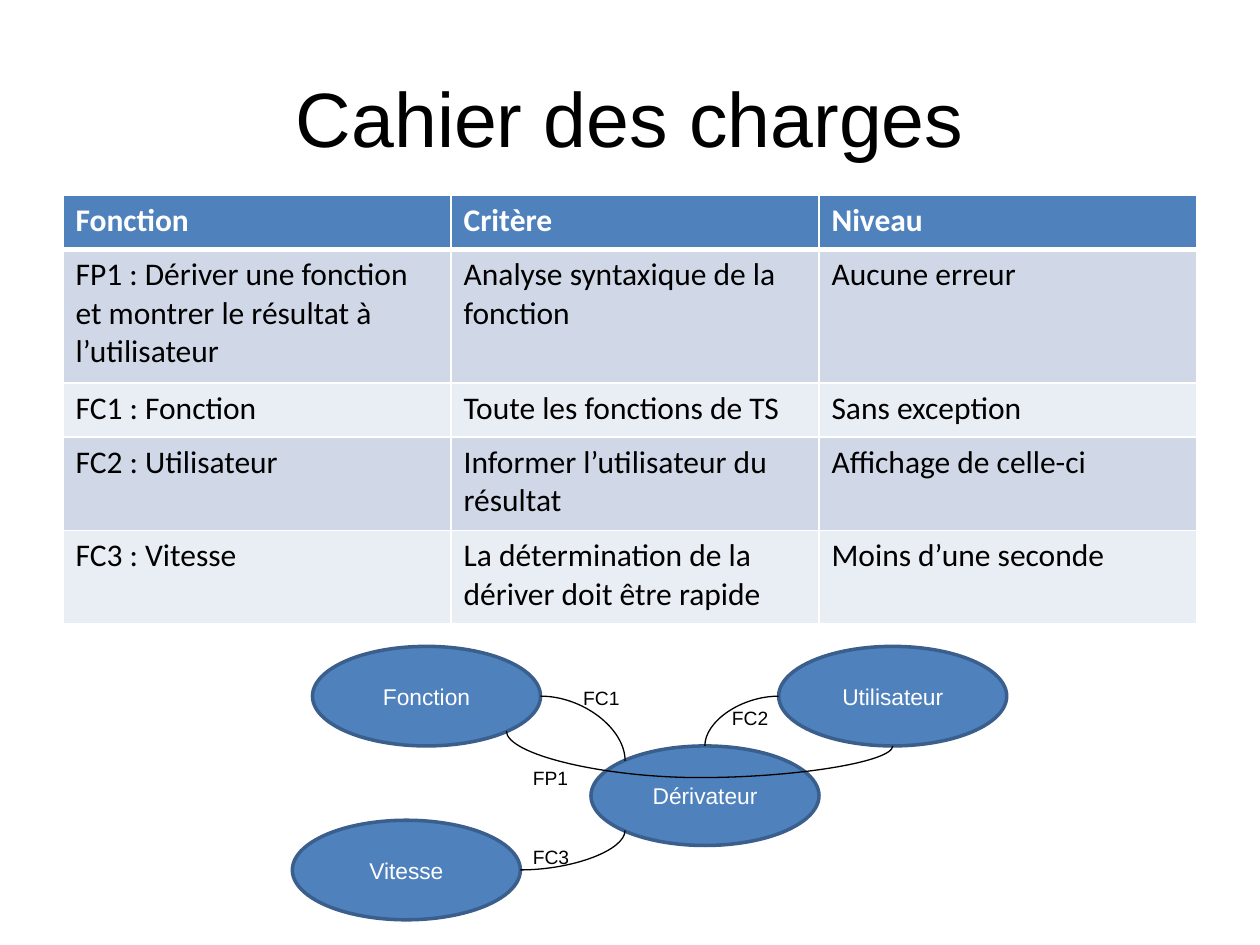
from lxml import etree
from pptx import Presentation, util as u
from pptx.dml.color import RGBColor
from pptx.enum import shapes, text
from pptx.oxml.ns import qn

COLS, ROWS = 100, 75  # slide grid; one step is a tenth of an inch
STEP = u.Inches(0.1)
INK = {"black": "000000", "white": "FFFFFF", "blue": "4F81BD", "edge": "3A5F8C",
       "odd": "D0D8E8", "even": "E9EDF4"}

WIDTHS = [30.8, 29.2, 30]
HEIGHTS = [4.3, 10.6, 4.3, 7.4, 7.4]
CELLS = [
    ["Fonction", "Critère", "Niveau"],
    ["FP1 : Dériver une fonction et montrer le résultat à l’utilisateur",
     "Analyse syntaxique de la fonction", "Aucune erreur"],
    ["FC1 : Fonction", "Toute les fonctions de TS", "Sans exception"],
    ["FC2 : Utilisateur", "Informer l’utilisateur du résultat", "Affichage de celle-ci"],
    ["FC3 : Vitesse", "La détermination de la dériver doit être rapide", "Moins d’une seconde"],
]

# Offsets inside the diagram box, in grid steps
OVAL = (18.1, 7.9)
NODES = {"Dérivateur": (23.7, 7.9), "Fonction": (1.6, 0),
         "Utilisateur": (38.6, 0), "Vitesse": (0, 13.8)}
TAGS = {"FP1": (18.1, 9), "FC1": (22.1, 2.7), "FC2": (33.9, 4.3), "FC3": (18.1, 15.3)}
# Points on an oval, as shares of its width and height
SITES = {"top": (0.5, 0), "left": (0, 0.5), "right": (1, 0.5), "bottom": (0.5, 1),
         "top left": (0.15, 0.15), "low left": (0.15, 0.85), "low right": (0.85, 0.85)}
BENDS = [("Vitesse", "right", "low left"), ("Fonction", "right", "top left"),
         ("Utilisateur", "left", "top")]


def grid(*steps):
    return [round(n * STEP) for n in steps]


def color(name):
    return RGBColor.from_string(INK[name])


def style(frame, font, size, ink, bold=False):
    for run in frame.paragraphs[0].runs:
        run.font.name, run.font.size, run.font.bold = font, u.Pt(size), bold
        run.font.color.rgb = color(ink)


def center(frame):
    frame.vertical_anchor = text.MSO_ANCHOR.MIDDLE
    frame.paragraphs[0].alignment = text.PP_ALIGN.CENTER


def title(slide, box):
    frame = slide.shapes.add_textbox(*grid(*box)).text_frame
    frame.word_wrap = True
    frame.text = "Cahier des charges"
    center(frame)
    style(frame, "Arial", 44, "black")


def border(cell, top, bottom):
    """Draw white cell borders; the side borders are one point wide."""
    props = cell._tc.get_or_add_tcPr()
    sides = {"lnL": 1, "lnR": 1, "lnT": top, "lnB": bottom}
    for spot, (side, width) in enumerate(sides.items()):
        line = etree.Element(qn("a:" + side), w=str(u.Pt(width)))
        fill = etree.SubElement(line, qn("a:solidFill"))
        etree.SubElement(fill, qn("a:srgbClr"), val=INK["white"])
        props.insert(spot, line)


def table(slide, box):
    grille = slide.shapes.add_table(len(CELLS), len(WIDTHS), *grid(*box)).table
    for col, width in zip(grille.columns, grid(*WIDTHS)):
        col.width = width
    for row, height in zip(grille.rows, grid(*HEIGHTS)):
        row.height = height
    for r, words in enumerate(CELLS):
        head = r == 0
        shade = "blue" if head else "odd" if r % 2 else "even"
        for c, word in enumerate(words):
            cell = grille.cell(r, c)
            cell.text = word
            style(cell.text_frame, "Calibri", 18, "white" if head else "black", head)
            cell.fill.solid()
            cell.fill.fore_color.rgb = color(shade)
            border(cell, 3 if r == 1 else 1, 3 if head else 1)


def oval(slide, box, name):
    node = slide.shapes.add_shape(shapes.MSO_SHAPE.OVAL, *grid(*box))
    node.shadow.inherit = False
    node.fill.solid()
    node.fill.fore_color.rgb = color("blue")
    node.line.color.rgb = color("edge")
    node.line.width = u.Pt(2)
    node.text_frame.text = name
    center(node.text_frame)
    style(node.text_frame, "Arial", 13, "white")
    return node


def point(node, site):
    fx, fy = SITES[site]
    return round(node.left + fx * node.width), round(node.top + fy * node.height)


def curve(slide, start, end, preset):
    link = slide.shapes.add_connector(shapes.MSO_CONNECTOR.CURVE, *start, *end)
    link.line.color.rgb = color("black")
    link.line.width = u.Pt(0.75)
    props = link._element.spPr
    etree.SubElement(props, qn("a:effectLst"))
    props.find(qn("a:prstGeom")).set("prst", preset)
    return props


def sag(slide, start, end, depth):
    """Join two points by a curve that hangs below them, on its side by rotation."""
    (x1, y1), (x2, y2) = start, end
    mx, my = (x1 + x2) // 2, (y1 + y2) // 2
    dx, dy = (x2 - x1) // 2, (y2 - y1) // 2
    props = curve(slide, (mx + dy, my - dx), (mx - dy, my + dx), "curvedConnector3")
    props.find(qn("a:xfrm")).set("rot", str(270 * 60000))
    geom = props.find(qn("a:prstGeom"))
    guides = geom.find(qn("a:avLst"))
    if guides is None:
        guides = etree.SubElement(geom, qn("a:avLst"))
    share = round(depth * STEP / (y2 - y1) * 100000)
    etree.SubElement(guides, qn("a:gd"), name="adj1", fmla=f"val {share}")


def tag(slide, box, word):
    frame = slide.shapes.add_textbox(*grid(*box)).text_frame
    frame.word_wrap = False
    frame.auto_size = text.MSO_AUTO_SIZE.SHAPE_TO_FIT_TEXT
    frame.text = word
    style(frame, "Arial", 11, "black")


def diagram(slide, left, top):
    nodes = {name: oval(slide, (left + x, top + y, *OVAL), name)
             for name, (x, y) in NODES.items()}
    sag(slide, point(nodes["Fonction"], "low right"),
        point(nodes["Utilisateur"], "bottom"), 3.7)
    for name, start, end in BENDS:
        curve(slide, point(nodes[name], start),
              point(nodes["Dérivateur"], end), "curvedConnector2")
    for word, (x, y) in TAGS.items():
        tag(slide, (left + x, top + y, 4.9, 2.9), word)


def main():
    deck = Presentation()
    deck.slide_width, deck.slide_height = grid(COLS, ROWS)
    slide = deck.slides.add_slide(deck.slide_layouts[6])
    title(slide, (5, 3, 90, 12.5))
    table(slide, (5, 15.5, sum(WIDTHS), sum(HEIGHTS)))
    diagram(slide, 23.2, 51.3)
    deck.save("out.pptx")


if __name__ == "__main__":
    main()
